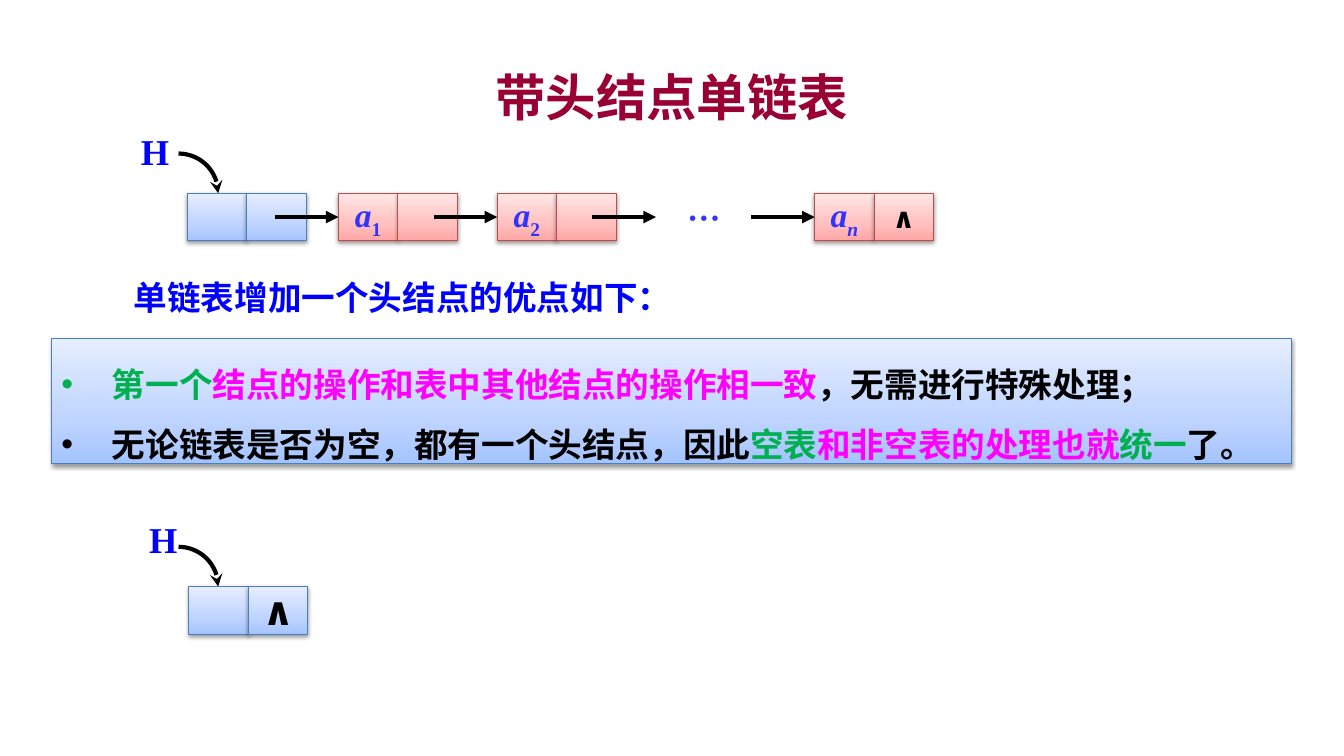
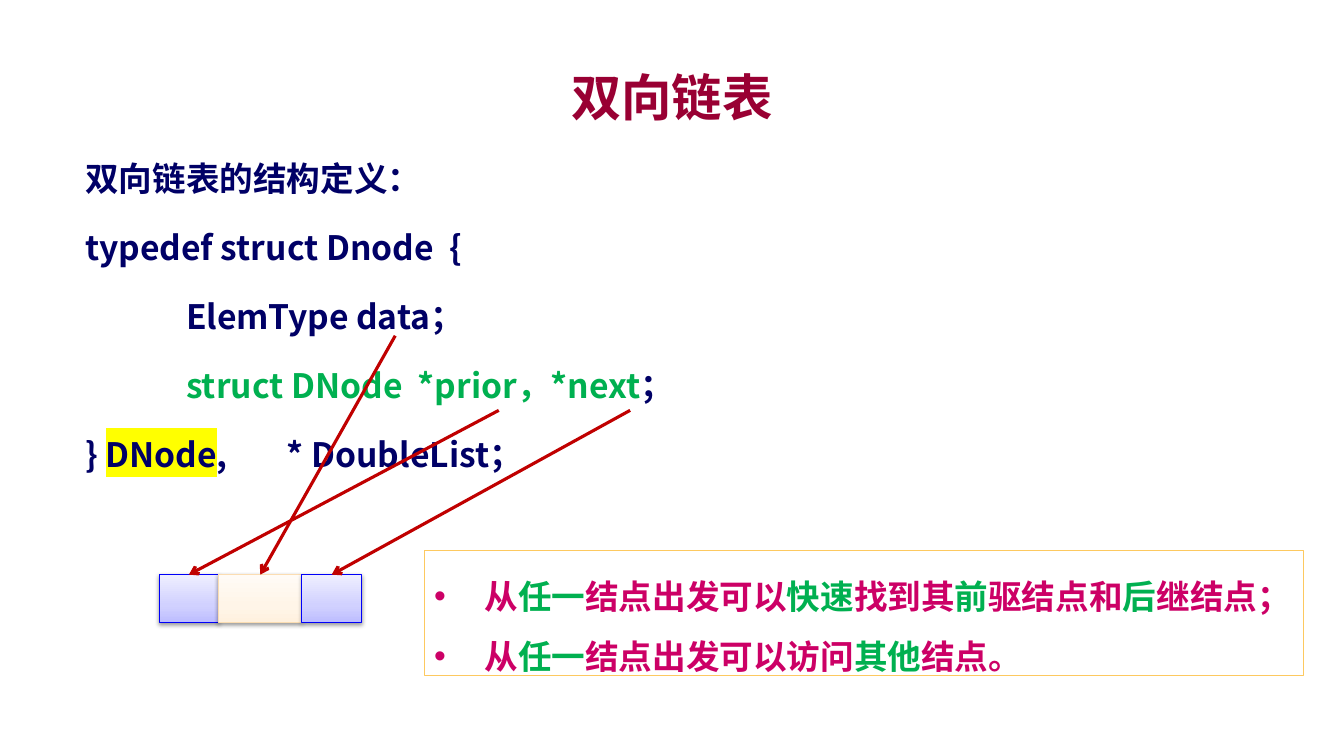
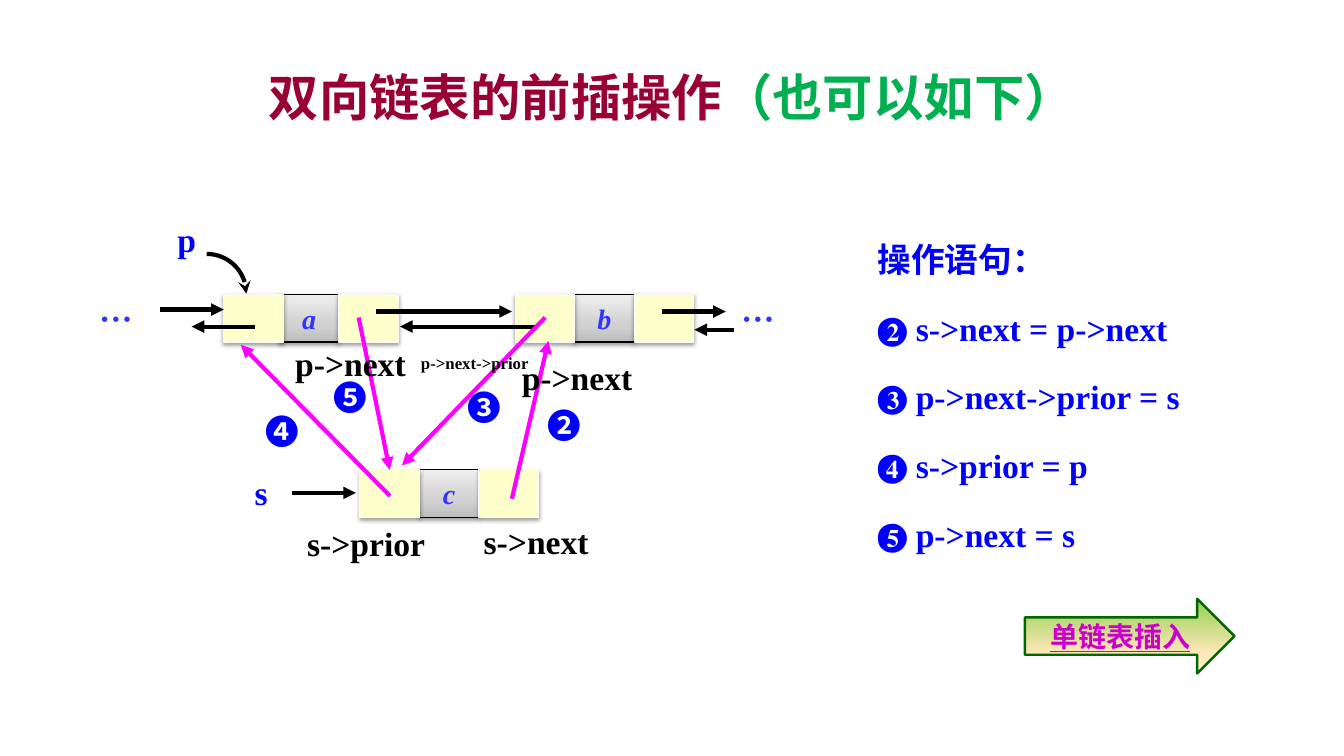
"""Build three slides on linked lists with head nodes and double links."""
from math import cos, pi, sin

from lxml.etree import SubElement
from pptx import Presentation
from pptx.dml.color import RGBColor as RGB
from pptx.enum.shapes import MSO_CONNECTOR, MSO_SHAPE
from pptx.enum.text import MSO_ANCHOR as ANCHOR, MSO_AUTO_SIZE as AUTO, PP_ALIGN as ALIGN
from pptx.oxml.ns import qn
from pptx.util import Cm, Pt


class Theme:
    """Colours, fonts and type sizes shared by the slides."""
    cjk, serif, sans = "Noto Sans CJK SC", "Times New Roman", "Calibri"
    black, blue, ink, navy = "000000", "0000FF", "3333FF", "000066"
    green, magenta, rose, red = "00B050", "FF00FF", "CC0066", "C00000"
    wine, violet, yellow, gold = "990033", "CC00CC", "FFFF00", "FDC960"
    title, name, body, small, tiny = 36, 26, 24, 20, 12
    cell_w, cell_h = 1.5, 1.2


T = Theme
SKY = {"fill": [(0, "A4C4FF"), (35, "BFD4FF"), (100, "E6EEFF")], "line": "4B7EBC"}
CORAL = {"fill": [(0, "FFA6A5"), (35, "FFC0BF"), (100, "FFE7E7")], "line": "BF4C48"}
LILAC = {"fill": [(0, "BDBDFF"), (35, "D1D1FF"), (100, "EEEEFF")], "line": "0000F9"}
PEACH = {"fill": [(0, "FFF1DF"), (35, "FFF5E8"), (100, "FFFBF6")], "line": "FBDDB2"}
GREY = {"fill": [(0, "BDBDBD"), (35, "D1D1D1"), (100, "EEEEEE")], "line": T.black}
CREAM = {"fill": "FFFFCC", "line": "F9F9F9"}
FRAME = {"fill": None, "line": T.gold, "shadow": False}
BUTTON = {"fill": [(0, "92D050"), (74, "FFE8BA"), (83, "FFE8BA"), (100, "FFF0D1")],
          "angle": 270, "line": "006600", "width": 1.75, "shadow": False}

TITLE = {"size": T.title, "font": T.cjk, "color": T.wine}
POINTER = {"size": T.body, "font": T.serif, "color": T.blue}
HEAD = POINTER | {"size": T.name}
DOTS = {"size": T.body, "font": T.cjk, "color": T.ink}
MARK = DOTS | {"color": T.blue}
ELEMENT = {"size": T.body, "font": T.serif, "color": T.ink, "italic": True}
FIELD = {"size": T.body, "font": T.serif, "color": T.black}
NULL = {"size": T.small, "font": T.sans, "color": T.black}

GREEN, MAGENTA, ROSE = ({"color": c} for c in (T.green, T.magenta, T.rose))
SUB = {"base": -25}

BENEFITS = [
    [("第一个", GREEN), ("结点的操作和表中其他结点的操作相一致", MAGENTA), "，无需进行特殊处理；"],
    ["无论链表是否为空，都有一个头结点，因此", ("空表", GREEN), ("和非空表的处理也就", MAGENTA),
     ("统一", GREEN), "了。"],
]
HEADS = [(4.72, 4.87, 3.3, 3.12, None), (4.76, 14.78, 3.51, 12.9, "∧")]
CHAIN = {"x": 8.53, "y": 4.87, "pitch": 4, "link": 1.6}
NODES = {0: (("1", SUB | {"italic": False}), None), 1: (("2", SUB | {"italic": False}), None),
         3: (("n", SUB), "∧")}

STRUCT = [
    ["双向链表的结构定义："],
    ["typedef struct Dnode  {"],
    ["\tElemType data；"],
    ["\t", ("struct DNode  *prior，*next", GREEN), "；"],
    ["} ", ("DNode", {"highlight": T.yellow}), ",\t* DoubleList；"],
]
FEATURES = [
    ["从", ("任一", GREEN), "结点出发可以", ("快速", GREEN), "找到其", ("前", GREEN),
     "驱结点和", ("后", GREEN), "继结点；"],
    ["从", ("任一", GREEN), "结点出发可以访问", ("其他", GREEN), "结点。"],
]
DNODE = [(1.5, LILAC, (12.57, 10.34)), (2.1, PEACH, (9.96, 8.46)), (1.5, LILAC, (15.88, 10.34))]

DOUBLE = [("a", 7.04, 7.42, 1.4), ("b", 14.48, 7.42, 1.5), ("c", 10.57, 11.84, 1.5)]
LINKS = [
    ((4.04, 7.8), (5.64, 7.8)), ((9.47, 7.85), (12.9, 7.85)), ((16.69, 7.85), (18.29, 7.85)),
    ((6.43, 8.23), (4.83, 8.23)), ((13.49, 8.23), (10.08, 8.23)),
    ((18.49, 8.31), (17.5, 8.31)), ((7.37, 12.42), (8.97, 12.42)),
]
CHANGES = [((12.9, 12.57), (13.82, 8.59)), ((13.74, 8), (10.13, 11.73)),
           ((9.83, 12.5), (6.07, 8.69))]
LABELS = [
    ("p", 4.22, 5.38, 1.2, POINTER), ("s", 6.17, 11.76, 1.2, POINTER),
    ("❷", 13.56, 10.08, 1.5, MARK), ("❸", 11.53, 9.63, 1.2, MARK),
    ("❹", 6.43, 10.24, 1.2, MARK), ("❺", 8.15, 9.37, 1.2, MARK),
    ("s->next", 11.94, 13, 3.68, FIELD), ("p->next", 12.9, 8.86, 4.11, FIELD),
    ("p->next->prior", 10.36, 8.76, 3.68, FIELD | {"size": T.tiny}),
    ("s->prior", 7.49, 13.06, 3.76, FIELD), ("p->next", 7.19, 8.51, 3.63, FIELD),
]
STEPS = [["操作语句："], ["❷ s->next = p->next"], ["❸ p->next->prior = s"],
         ["❹ s->prior = p"], ["❺ p->next = s"]]


def child(parent, tag, **attrs):
    return SubElement(parent, qn(tag), attrs)


def add_run(p, text, fmt):
    r = p.add_run()
    r.text = text
    values = {"size": Pt(fmt["size"]), "bold": True, "italic": fmt.get("italic", False),
              "underline": fmt.get("underline", False)}
    for key, value in values.items():
        setattr(r.font, key, value)
    r.font.color.rgb = RGB.from_string(fmt["color"])
    rpr = r._r.get_or_add_rPr()
    if "base" in fmt:
        rpr.set("baseline", str(fmt["base"] * 1000))
    if "highlight" in fmt:
        child(child(rpr, "a:highlight"), "a:srgbClr", val=fmt["highlight"])
    r.font.name = fmt["font"]
    child(rpr, "a:ea", typeface=T.cjk)


def write(tf, paras, fmt, align=ALIGN.LEFT, spacing=None, before=0, bullet=False, tabs=()):
    for i, runs in enumerate(paras):
        p = tf.add_paragraph() if i else tf.paragraphs[0]
        ppr = p._p.get_or_add_pPr()
        if bullet:
            ppr.set("marL", str(Cm(1.27)))
            ppr.set("indent", str(-Cm(1.27)))
            child(ppr, "a:buFont", typeface="Arial")
            child(ppr, "a:buChar", char="•")
        if tabs:
            stops = child(ppr, "a:tabLst")
            for pos in tabs:
                child(stops, "a:tab", pos=str(Cm(pos)), algn="l")
        p.alignment = align
        if spacing:
            p.line_spacing = spacing
        if before and i:
            p.space_before = Pt(before)
        for item in runs:
            text, extra = (item, {}) if isinstance(item, str) else item
            add_run(p, text, fmt | extra)


def add_text(s, box, paras, fmt, **layout):
    tf = s.shapes.add_textbox(*map(Cm, box)).text_frame
    tf.word_wrap = True
    write(tf, paras, fmt, **layout)


def add_dots(s, x, y):
    add_text(s, (x, y, 1.6, 1.27), [["…"]], DOTS, align=ALIGN.CENTER)


def add_block(s, box, look, kind=MSO_SHAPE.RECTANGLE):
    sp = s.shapes.add_shape(kind, *map(Cm, box))
    sp.shadow.inherit = False
    fill = look["fill"]
    if fill is None:
        sp.fill.background()
    elif isinstance(fill, str):
        sp.fill.solid()
        sp.fill.fore_color.rgb = RGB.from_string(fill)
    else:
        sp.fill.gradient()
        sp.fill.gradient_angle = look.get("angle", 90)
        stops = sp._element.spPr.find(qn("a:gradFill")).find(qn("a:gsLst"))
        for stop in list(stops):
            stops.remove(stop)
        for pos, color in fill:
            child(child(stops, "a:gs", pos=str(pos * 1000)), "a:srgbClr", val=color)
    sp.line.color.rgb = RGB.from_string(look["line"])
    sp.line.width = Pt(look.get("width", 0.75))
    if look.get("shadow", True):
        effects = sp._element.spPr.find(qn("a:effectLst"))
        shadow = child(effects, "a:outerShdw", blurRad=str(Pt(3.1)), dist=str(Pt(1.6)),
                       dir="5400000", rotWithShape="0")
        child(child(shadow, "a:srgbClr", val=T.black), "a:alpha", val="38000")
    tf = sp.text_frame
    tf.word_wrap = True
    tf.vertical_anchor = ANCHOR.MIDDLE
    return sp


def add_cell(s, x, y, look, runs=None, fmt=None, w=T.cell_w):
    sp = add_block(s, (x, y, w, T.cell_h), look)
    if runs:
        sp.text_frame.word_wrap = False
        write(sp.text_frame, [runs], fmt, align=ALIGN.CENTER)
    return sp


def add_panel(s, box, look, paras, fmt):
    tf = add_block(s, box, look).text_frame
    tf.vertical_anchor = ANCHOR.TOP
    write(tf, paras, fmt, spacing=1.5, bullet=True)


def style_line(sp, color, width, head):
    sp.line.color.rgb = RGB.from_string(color)
    sp.line.width = Pt(width)
    child(sp.line._get_or_add_ln(), "a:tailEnd", type=head)


def add_arrow(s, start, end, color=T.black, width=3, head="triangle", target=None, side=0):
    cx = s.shapes.add_connector(MSO_CONNECTOR.STRAIGHT, *map(Cm, start + end))
    style_line(cx, color, width, head)
    child(cx._element.spPr, "a:effectLst")
    if target is not None:
        cx.end_connect(target, side)


def add_curve(s, x, y, radius=1, steps=16):
    turns = [i * pi / 2 / steps for i in range(steps + 1)]
    points = [(Cm(x + radius * sin(t)), Cm(y + radius * (1 - cos(t)))) for t in turns]
    builder = s.shapes.build_freeform(*points[0])
    builder.add_line_segments(points[1:], close=False)
    sp = builder.convert_to_shape()
    sp.shadow.inherit = False
    sp.fill.background()
    style_line(sp, T.black, 3, "stealth")


def add_slide(prs, title):
    s = prs.slides.add_slide(prs.slide_layouts[5])
    sp = s.shapes.title
    for key, value in zip(("left", "top", "width", "height"), (2.54, 1.47, 28.78, 1.9)):
        setattr(sp, key, Cm(value))
    tf = sp.text_frame
    tf.auto_size = AUTO.NONE
    tf.vertical_anchor = ANCHOR.MIDDLE
    write(tf, [title], TITLE, align=ALIGN.CENTER)
    return s


def head_node_slide(prs):
    s = add_slide(prs, ["带头结点单链表"])
    add_panel(s, (1.3, 8.53, 31.24, 3.15), SKY, BENEFITS,
              {"size": T.body, "font": T.sans, "color": T.black})
    add_text(s, (3.12, 6.86, 13.79, 1.27), [["单链表增加一个头结点的优点如下："]], POINTER)
    for x, y, name_x, name_y, null in HEADS:
        add_cell(s, x, y, SKY)
        add_cell(s, x + T.cell_w, y, SKY, null, NULL | {"size": 28})
        add_curve(s, 4.5, y - 1)
        add_text(s, (name_x, name_y, 1.2, 1.37), [["H"]], HEAD)
    x0, y, pitch, link = CHAIN.values()
    cells = {}
    for i, (index, null) in NODES.items():
        x = x0 + pitch * i
        cells[i] = add_cell(s, x, y, CORAL, ["a", index], ELEMENT)
        add_cell(s, x + T.cell_w, y, CORAL, null, NULL)
    add_dots(s, 16.94, y)
    mid = y + T.cell_h / 2
    for i in range(4):
        x = x0 + pitch * i
        add_arrow(s, (x - link, mid), (x, mid), target=cells.get(i), side=1)


def double_list_slide(prs):
    s = add_slide(prs, ["双向链表"])
    add_text(s, (1.9, 3.35, 30.4, 8.69), STRUCT,
             {"size": T.body, "font": T.cjk, "color": T.navy},
             spacing=1.5, before=6, tabs=(2.54, 5.08))
    add_panel(s, (10.69, 13.87, 22.15, 3.15), FRAME, FEATURES,
              {"size": T.body, "font": T.cjk, "color": T.rose})
    x, y = 4.01, 14.48
    cells = []
    for w, look, start in DNODE:
        cells.append((add_cell(s, x, y, look, w=w), start, (x + w / 2, y)))
        x += w
    for cell, start, end in cells:
        add_arrow(s, start, end, T.red, 2.25, "arrow", cell)


def insert_slide(prs):
    s = add_slide(prs, ["双向链表的前插操作", ("（也可以如下）", GREEN)])
    prior = {}
    for name, x, y, step in DOUBLE:
        add_cell(s, x, y, GREY, [name], ELEMENT | {"size": T.small})
        add_cell(s, x + T.cell_w, y, CREAM)
        prior[name] = add_cell(s, x - step, y, CREAM)
    for x in (2.13, 18.31):
        add_dots(s, x, 7.42)
    for start, end in LINKS:
        add_arrow(s, start, end)
    add_curve(s, 5.21, 6.4)
    for start, end in CHANGES:
        add_arrow(s, start, end, T.magenta)
    add_arrow(s, (9.04, 8), (9.82, 11.84), T.magenta, target=prior["c"])
    for text, x, y, w, fmt in LABELS:
        add_text(s, (x, y, w, 1.27), [[text]], fmt)
    button = add_block(s, (25.83, 15.09, 5.28, 1.88), BUTTON, MSO_SHAPE.RIGHT_ARROW)
    write(button.text_frame, [["单链表插入"]],
          {"size": T.small, "font": T.serif, "color": T.violet, "underline": True},
          align=ALIGN.CENTER)
    add_text(s, (21.87, 5.38, 9.93, 8.64), STEPS, POINTER, spacing=1.5, before=6)


def main():
    prs = Presentation()
    prs.slide_width, prs.slide_height = Cm(33.87), Cm(19.05)
    for build in (head_node_slide, double_list_slide, insert_slide):
        build(prs)
    prs.save("out.pptx")


if __name__ == "__main__":
    main()
